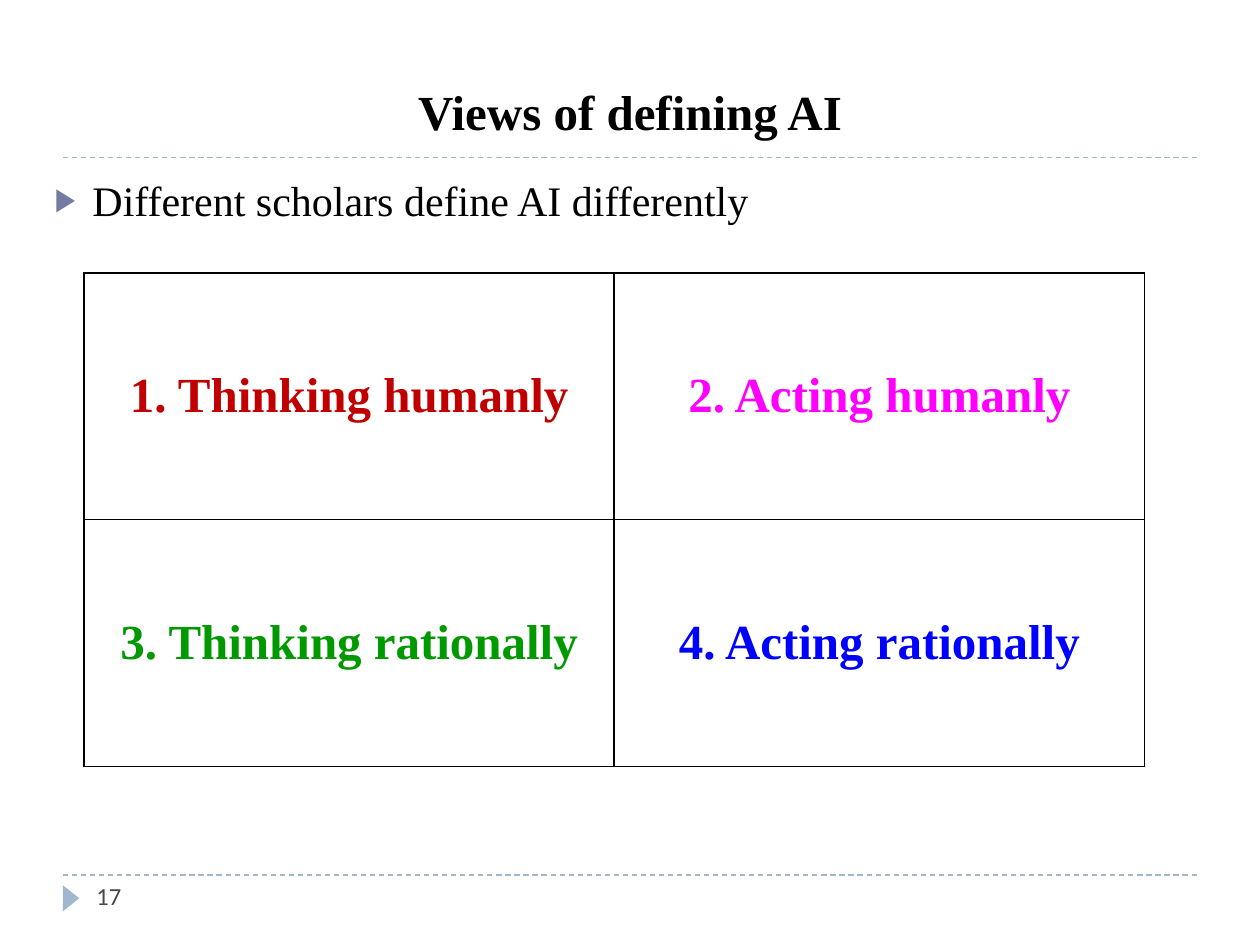
from lxml import etree
from pptx import Presentation
from pptx.dml.color import RGBColor
from pptx.enum.dml import MSO_LINE
from pptx.enum.shapes import MSO_CONNECTOR, MSO_SHAPE
from pptx.enum.text import MSO_ANCHOR, MSO_AUTO_SIZE, PP_ALIGN
from pptx.oxml.ns import qn
from pptx.util import Pt

STRAIGHT = MSO_CONNECTOR.STRAIGHT
TRIANGLE = MSO_SHAPE.ISOSCELES_TRIANGLE
DASH = MSO_LINE.DASH
TOP, MIDDLE, BOTTOM = MSO_ANCHOR.TOP, MSO_ANCHOR.MIDDLE, MSO_ANCHOR.BOTTOM
LEFT, CENTER = PP_ALIGN.LEFT, PP_ALIGN.CENTER
NO_FIT = MSO_AUTO_SIZE.NONE

COLOURS = {
    "black": "000000",
    "white": "FFFFFF",
    "rule": "9FB8CD",
    "bullet": "727CA3",
    "number": "464653",
    "red": "C00000",
    "magenta": "FF00FF",
    "green": "009900",
    "blue": "0000FF",
}
SERIF = "Times New Roman"
SANS = "Calibri"

VIEWS = [
    [("1. Thinking humanly", "red"), ("2. Acting humanly", "magenta")],
    [("3. Thinking rationally", "green"), ("4. Acting rationally", "blue")],
]


def colour(name):
    return RGBColor.from_string(COLOURS[name])


def place(shape, box):
    shape.left, shape.top, shape.width, shape.height = map(Pt, box)


def write(para, text, size, ink, font=SERIF, bold=False, align=LEFT):
    para.alignment = align
    para.space_before = Pt(0)
    span = para.add_run()
    span.text = text
    span.font.name = font
    span.font.size = Pt(size)
    span.font.bold = bold
    span.font.color.rgb = colour(ink)


def add_rule(page, left, top, width):
    rule = page.shapes.add_connector(
        STRAIGHT, Pt(left), Pt(top), Pt(left + width), Pt(top))
    rule.line.color.rgb = colour("rule")
    rule.line.width = Pt(0.75)
    rule.line.dash_style = DASH
    etree.SubElement(rule._element.spPr, qn("a:effectLst"))


def add_bullet(para):
    props = para._p.get_or_add_pPr()
    props.set("marL", str(Pt(21.6)))
    props.set("indent", str(-Pt(21.6)))
    tint = etree.SubElement(props, qn("a:buClr"))
    etree.SubElement(tint, qn("a:srgbClr"), val=COLOURS["bullet"])
    etree.SubElement(props, qn("a:buSzPct"), val="76000")
    etree.SubElement(props, qn("a:buChar"), char="▶")


def add_borders(cell):
    props = cell._tc.get_or_add_tcPr()
    for side in ("a:lnL", "a:lnR", "a:lnT", "a:lnB"):
        line = etree.SubElement(props, qn(side), w=str(Pt(1)))
        fill = etree.SubElement(line, qn("a:solidFill"))
        etree.SubElement(fill, qn("a:srgbClr"), val=COLOURS["black"])


def fill_title(page, box):
    title = page.shapes.title
    place(title, box)
    frame = title.text_frame
    frame.auto_size = NO_FIT
    frame.vertical_anchor = BOTTOM
    write(frame.paragraphs[0], "Views of defining AI", 28, "black",
          bold=True, align=CENTER)


def fill_body(page, box):
    body = page.placeholders[1]
    place(body, box)
    frame = body.text_frame
    frame.auto_size = NO_FIT
    frame.vertical_anchor = TOP
    para = frame.paragraphs[0]
    add_bullet(para)
    write(para, "Different scholars define AI differently", 24, "black")


def add_views(page, box):
    left, top, width, height = map(Pt, box)
    table = page.shapes.add_table(
        len(VIEWS), len(VIEWS[0]), left, top, width, height).table
    table.first_row = False
    table.horz_banding = False
    for row, views in enumerate(VIEWS):
        for column, (text, ink) in enumerate(views):
            cell = table.cell(row, column)
            add_borders(cell)
            cell.fill.solid()
            cell.fill.fore_color.rgb = colour("white")
            cell.vertical_anchor = MIDDLE
            write(cell.text_frame.paragraphs[0], text, 28, ink,
                  bold=True, align=CENTER)


def add_footer(page, box):
    left, top, width, height = box
    add_rule(page, left, top, width)
    marker = page.shapes.add_shape(
        TRIANGLE, Pt(left - 2.9), Pt(top + 8.6), Pt(15), Pt(9.4))
    marker.rotation = 90
    marker.shadow.inherit = False
    marker.fill.solid()
    marker.fill.fore_color.rgb = colour("rule")
    marker.line.fill.background()
    number = page.shapes.add_textbox(
        Pt(left + 12), Pt(top), Pt(156), Pt(height))
    number.text_frame.word_wrap = True
    write(number.text_frame.paragraphs[0], "17", 14, "number", font=SANS)


def main():
    deck = Presentation()
    deck.slide_width, deck.slide_height = Pt(720), Pt(540)
    page = deck.slides.add_slide(deck.slide_layouts[1])
    fill_title(page, (36, 24, 648, 60))
    add_rule(page, 36, 90, 648)
    fill_body(page, (24, 96, 672, 402))
    add_views(page, (48, 156, 606, 282))
    add_footer(page, (36, 500, 648, 29))
    deck.save("out.pptx")


if __name__ == "__main__":
    main()
